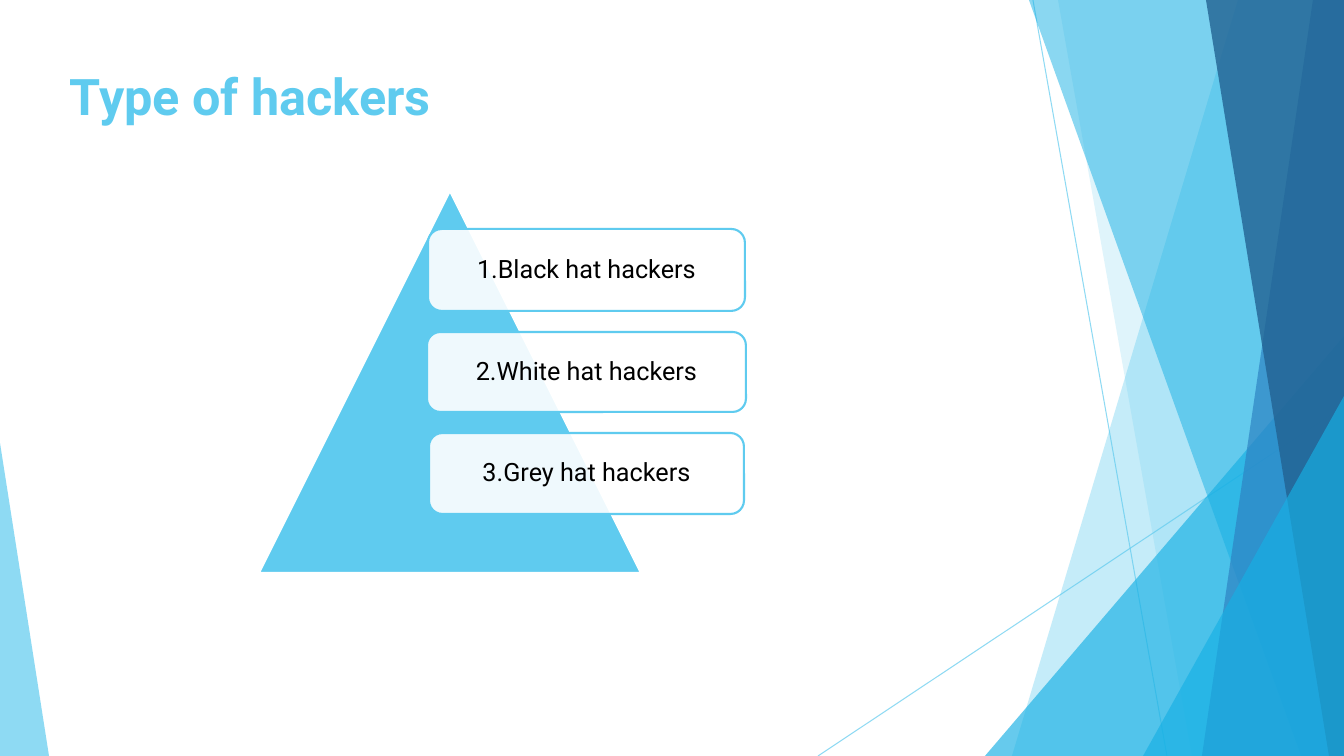
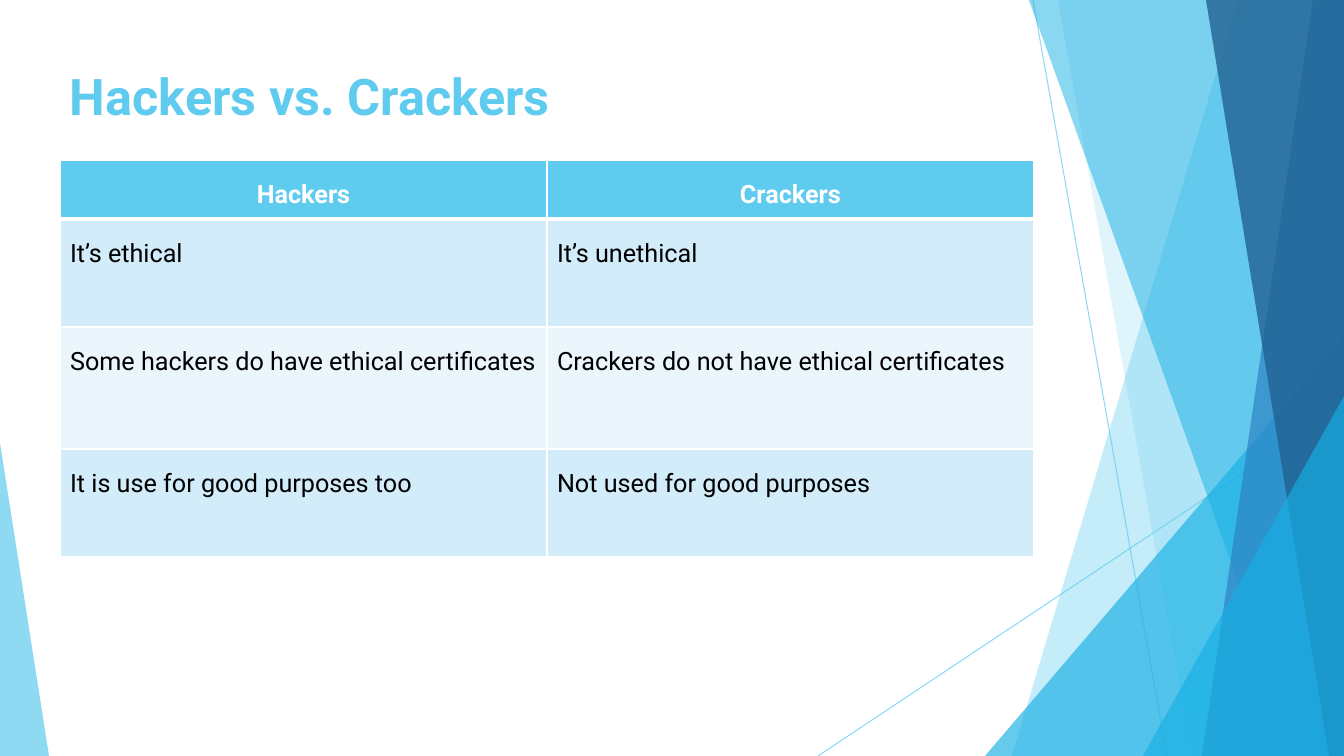
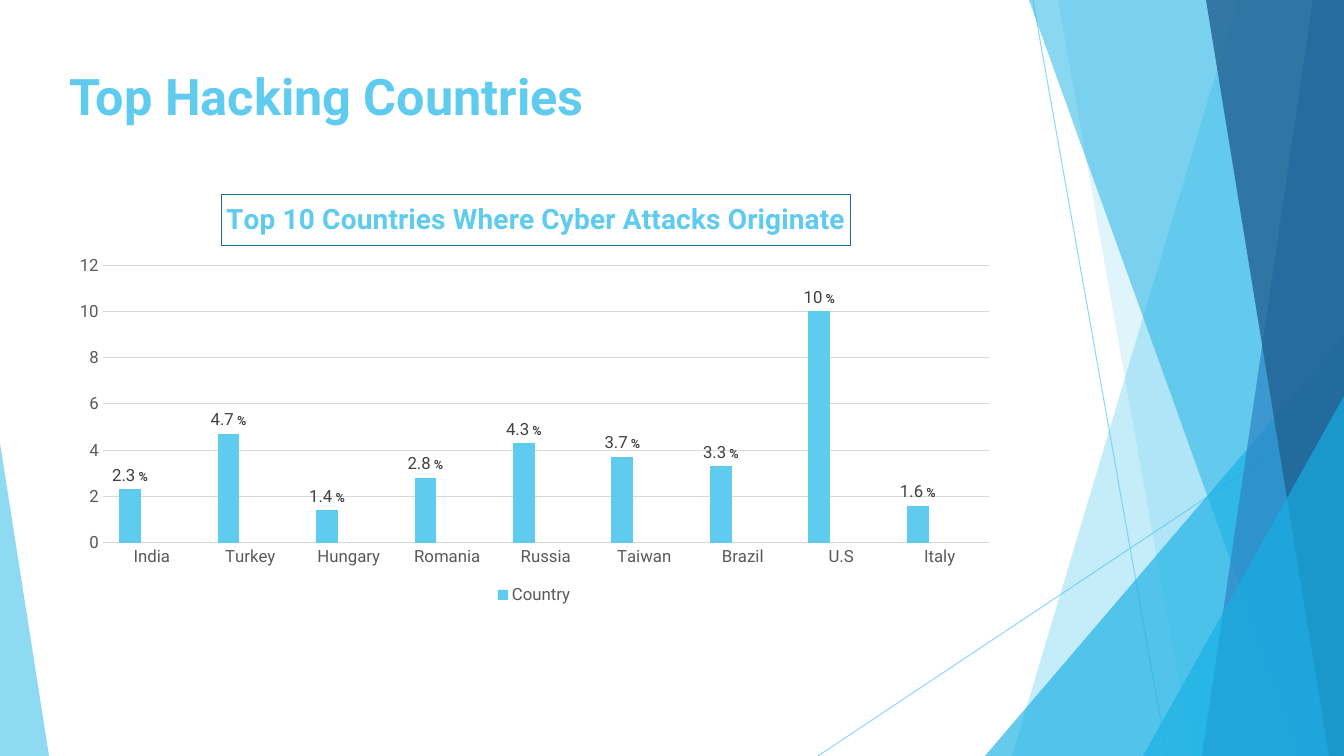
from dataclasses import dataclass

import pptx
import pptx.chart.data
import pptx.dml.color
import pptx.enum.chart
import pptx.enum.dml
import pptx.enum.shapes
import pptx.enum.text
import pptx.oxml
import pptx.oxml.ns
import pptx.util

# Shared look
WIDTH, HEIGHT = 1344, 756
PX_PER_INCH = 100.8
FONT = "Roboto"
SKY, CYAN, BLUE, NAVY = "5FCBEF", "17B0E4", "2E83C3", "226292"
MINT, TEAL = "42D0A2", "0E7398"
WHITE, BLACK = "FFFFFF", "000000"
AXIS_GREY, LABEL_GREY, GRID_GREY = "595959", "404040", "D9D9D9"
BAND_DARK, BAND_LIGHT = "D2ECF9", "EAF6FC"

SHAPE = pptx.enum.shapes.MSO_SHAPE
ALIGN = pptx.enum.text.PP_ALIGN
ANCHOR = pptx.enum.text.MSO_ANCHOR


@dataclass(frozen=True)
class Ray:
    start: tuple[int, int]
    end: tuple[int, int]


@dataclass(frozen=True)
class Shard:
    """Runs from a slanted left edge to the right edge of the slide."""
    top_left: int
    bottom_left: int
    color: str
    opacity: int


@dataclass(frozen=True)
class Corner:
    """A right-angled triangle; peak 0 leans left, 1 leans right."""
    box: tuple[int, int, int, int]
    peak: int
    color: str
    opacity: int


@dataclass(frozen=True)
class Card:
    text: str
    box: tuple[int, int, int, int]


BACKDROP = [
    Ray((1033, 0), (1167, HEIGHT)),
    Ray((WIDTH, 406), (818, HEIGHT)),
    Shard(1238, 1012, SKY, 36),
    Shard(1058, 1192, SKY, 20),
    Corner((985, 336, 359, 420), 1, CYAN, 66),
    Shard(1029, 1301, CYAN, 50),
    Shard(1313, 1202, BLUE, 70),
    Shard(1206, 1329, NAVY, 80),
    Corner((1143, 396, 201, 360), 1, CYAN, 66),
    Corner((0, 443, 49, 313), 0, SKY, 70),
]


# Helpers
def px(length: float) -> pptx.util.Emu:
    return pptx.util.Emu(round(length * 914400 / PX_PER_INCH))


def place(box: tuple) -> list:
    return [px(length) for length in box]


def rgb(color: str) -> pptx.dml.color.RGBColor:
    return pptx.dml.color.RGBColor.from_string(color)


def fade(element, parent: str, opacity: int) -> None:
    """Give the solid colour under the named part an opacity in percent."""
    for color in element.xpath(f"{parent}/a:solidFill/a:srgbClr"):
        alpha = pptx.oxml.parse_xml(
            f'<a:alpha {pptx.oxml.ns.nsdecls("a")} val="{opacity * 1000}"/>')
        color.append(alpha)


def style_shape(shape, fill: str, opacity: int = 100, line: str | None = None) -> None:
    shape.shadow.inherit = False
    shape.fill.solid()
    shape.fill.fore_color.rgb = rgb(fill)
    if opacity < 100:
        fade(shape.element, "p:spPr", opacity)
    if line:
        shape.line.color.rgb = rgb(line)
        shape.line.width = pptx.util.Pt(1.5)
    else:
        shape.line.fill.background()


def style_font(font, size: float, color: str, bold: bool = False) -> None:
    font.name = FONT
    font.size = pptx.util.Pt(size)
    font.bold = bold
    font.color.rgb = rgb(color)


def add_run(paragraph, text: str, size: float, color: str, bold: bool = False) -> None:
    run = paragraph.add_run()
    run.text = text
    style_font(run.font, size, color, bold)


# Backdrop and title
def draw_ray(slide, ray: Ray) -> None:
    line = slide.shapes.add_connector(
        pptx.enum.shapes.MSO_CONNECTOR.STRAIGHT, *place(ray.start + ray.end))
    line.line.color.rgb = rgb(SKY)
    line.line.width = pptx.util.Pt(0.75)
    fade(line.element, "p:spPr/a:ln", 70)
    line.element.spPr.append(
        pptx.oxml.parse_xml(f'<a:effectLst {pptx.oxml.ns.nsdecls("a")}/>'))


def draw_shard(slide, shard: Shard) -> None:
    outline = slide.shapes.build_freeform(px(shard.top_left), 0)
    outline.add_line_segments([
        (px(WIDTH), 0), (px(WIDTH), px(HEIGHT)), (px(shard.bottom_left), px(HEIGHT))])
    style_shape(outline.convert_to_shape(), shard.color, shard.opacity)


def draw_corner(slide, corner: Corner) -> None:
    triangle = slide.shapes.add_shape(SHAPE.ISOSCELES_TRIANGLE, *place(corner.box))
    triangle.adjustments[0] = corner.peak
    style_shape(triangle, corner.color, corner.opacity)


def start_slide(deck, title: str):
    slide = deck.slides.add_slide(deck.slide_layouts[6])
    draw = {Ray: draw_ray, Shard: draw_shard, Corner: draw_corner}
    for part in BACKDROP:
        draw[type(part)](slide, part)
    heading = slide.shapes.add_textbox(*place((60, 60, 948, 79))).text_frame
    heading.word_wrap = True
    add_run(heading.paragraphs[0], title, 36, SKY, bold=True)
    return slide


# Hacker types
def draw_card(slide, card: Card) -> None:
    panel = slide.shapes.add_shape(SHAPE.ROUNDED_RECTANGLE, *place(card.box))
    style_shape(panel, WHITE, 90, SKY)
    frame = panel.text_frame
    frame.word_wrap = True
    frame.vertical_anchor = ANCHOR.MIDDLE
    paragraph = frame.paragraphs[0]
    paragraph.alignment = ALIGN.CENTER
    paragraph.line_spacing = 0.9
    add_run(paragraph, card.text, 18, BLACK)


def build_types(deck) -> None:
    slide = start_slide(deck, "Type of hackers")
    pyramid = slide.shapes.add_shape(
        SHAPE.ISOSCELES_TRIANGLE, *place((259, 191, 382, 382)))
    style_shape(pyramid, SKY, line=WHITE)
    for card in (
        Card("1.Black hat hackers", (428, 229, 317, 82)),
        Card("2.White hat hackers", (427, 332, 319, 80)),
        Card("3.Grey hat hackers", (429, 433, 315, 81)),
    ):
        draw_card(slide, card)


# Comparison table
def border_cell(cell, top: float, bottom: float) -> None:
    properties = cell._tc.get_or_add_tcPr()
    widths = {"lnL": 1, "lnR": 1, "lnT": top, "lnB": bottom}
    for index, (side, width) in enumerate(widths.items()):
        properties.insert(index, pptx.oxml.parse_xml(
            f'<a:{side} {pptx.oxml.ns.nsdecls("a")} w="{pptx.util.Pt(width)}">'
            f'<a:solidFill><a:srgbClr val="{WHITE}"/></a:solidFill></a:{side}>'))


def build_comparison(deck) -> None:
    slide = start_slide(deck, "Hackers vs. Crackers")
    rows = [
        ("Hackers", "Crackers"),
        ("It’s ethical", "It’s unethical"),
        ("Some hackers do have ethical certificates",
         "Crackers do not have ethical certificates"),
        ("It is use for good purposes too", "Not used for good purposes"),
    ]
    row_heights = [59, 108, 122, 108]
    column_width = 487
    table = slide.shapes.add_table(
        len(rows), 2, *place((60, 160, 2 * column_width, sum(row_heights)))).table
    for column in table.columns:
        column.width = px(column_width)
    for index, (texts, height) in enumerate(zip(rows, row_heights)):
        table.rows[index].height = px(height)
        header = index == 0
        fill = SKY if header else BAND_DARK if index % 2 else BAND_LIGHT
        for column, text in enumerate(texts):
            cell = table.cell(index, column)
            cell.fill.solid()
            cell.fill.fore_color.rgb = rgb(fill)
            border_cell(cell, 3 if index == 1 else 1, 3 if header else 1)
            paragraph = cell.text_frame.paragraphs[0]
            paragraph.alignment = ALIGN.CENTER if header else ALIGN.LEFT
            paragraph.line_spacing = 1.5
            add_run(paragraph, text, 18, WHITE if header else BLACK, header)


# Country chart
def set_layout(parent, index: int, target: str = "", **fractions: float) -> None:
    """Fix a chart part's place as fractions of the chart area."""
    for old in parent.xpath("c:layout"):
        parent.remove(old)
    inner = f'<c:layoutTarget val="{target}"/>' if target else ""
    modes = "".join(f'<c:{side}Mode val="edge"/>' for side in "xy")
    sizes = "".join(f'<c:{side} val="{value}"/>' for side, value in fractions.items())
    parent.insert(index, pptx.oxml.parse_xml(
        f'<c:layout {pptx.oxml.ns.nsdecls("c")}><c:manualLayout>'
        f'{inner}{modes}{sizes}</c:manualLayout></c:layout>'))


def style_axes(chart) -> None:
    for axis in (chart.category_axis, chart.value_axis):
        axis.major_tick_mark = pptx.enum.chart.XL_TICK_MARK.NONE
        axis.minor_tick_mark = pptx.enum.chart.XL_TICK_MARK.NONE
        axis.format.line.fill.background()
        style_font(axis.tick_labels.font, 12, AXIS_GREY)
    values = chart.value_axis
    values.minimum_scale, values.maximum_scale, values.major_unit = 0, 12, 2
    values.has_major_gridlines = True
    values.major_gridlines.format.line.color.rgb = rgb(GRID_GREY)
    values.major_gridlines.format.line.width = pptx.util.Pt(0.75)


def add_legend(chart) -> None:
    chart.has_legend = True
    chart.legend.position = pptx.enum.chart.XL_LEGEND_POSITION.BOTTOM
    chart.legend.include_in_layout = False
    style_font(chart.legend.font, 12, AXIS_GREY)
    position = chart.element.xpath("c:chart/c:legend/c:legendPos")[0]
    for empty_series in (2, 1):
        position.addnext(pptx.oxml.parse_xml(
            f'<c:legendEntry {pptx.oxml.ns.nsdecls("c")}>'
            f'<c:idx val="{empty_series}"/><c:delete val="1"/></c:legendEntry>'))


def add_chart_title(chart, text: str) -> None:
    chart.has_title = True
    title = chart.chart_title
    title.include_in_layout = False
    add_run(title.text_frame.paragraphs[0], text, 20, SKY, bold=True)
    title.format.line.color.rgb = rgb(TEAL)
    title.format.line.width = pptx.util.Pt(0.75)
    set_layout(chart.element.xpath("c:chart/c:title")[0], 1, x=0.17, y=0.03)


def label_bars(series, shares: list) -> None:
    labels = series.data_labels
    labels.show_value = True
    labels.position = pptx.enum.chart.XL_LABEL_POSITION.OUTSIDE_END
    style_font(labels.font, 12, LABEL_GREY)
    for index, share in enumerate(shares):
        label = series.points[index].data_label
        paragraph = label.text_frame.paragraphs[0]
        add_run(paragraph, f"{share:g}", 12, LABEL_GREY)
        add_run(paragraph, " %", 9, LABEL_GREY, bold=True)
        label.position = pptx.enum.chart.XL_LABEL_POSITION.OUTSIDE_END


def build_countries(deck) -> None:
    slide = start_slide(deck, "Top Hacking Countries")
    shares = {"India": 2.3, "Turkey": 4.7, "Hungary": 1.4, "Romania": 2.8,
              "Russia": 4.3, "Taiwan": 3.7, "Brazil": 3.3, "U.S": 10, "Italy": 1.6}
    data = pptx.chart.data.CategoryChartData()
    data.categories = list(shares)
    data.add_series("Country", list(shares.values()))
    for name in ("Series 2", "Series 3"):
        data.add_series(name, [None] * len(shares))
    chart = slide.shapes.add_chart(
        pptx.enum.chart.XL_CHART_TYPE.COLUMN_CLUSTERED,
        *place((60, 182, 948, 427)), data).chart
    style_font(chart.font, 10, BLACK)
    plot = chart.plots[0]
    plot.vary_by_categories = False
    plot.gap_width = 150
    plot.overlap = 0
    for series, color in zip(plot.series, (SKY, BLUE, MINT)):
        series.format.fill.solid()
        series.format.fill.fore_color.rgb = rgb(color)
    label_bars(plot.series[0], list(shares.values()))
    style_axes(chart)
    add_legend(chart)
    add_chart_title(chart, "Top 10 Countries Where Cyber Attacks Originate")
    set_layout(chart.element.xpath("c:chart/c:plotArea")[0], 0, "inner",
               x=0.045, y=0.195, w=0.935, h=0.65)


def main() -> None:
    deck = pptx.Presentation()
    deck.slide_width, deck.slide_height = px(WIDTH), px(HEIGHT)
    build_types(deck)
    build_comparison(deck)
    build_countries(deck)
    deck.save("out.pptx")


main()
